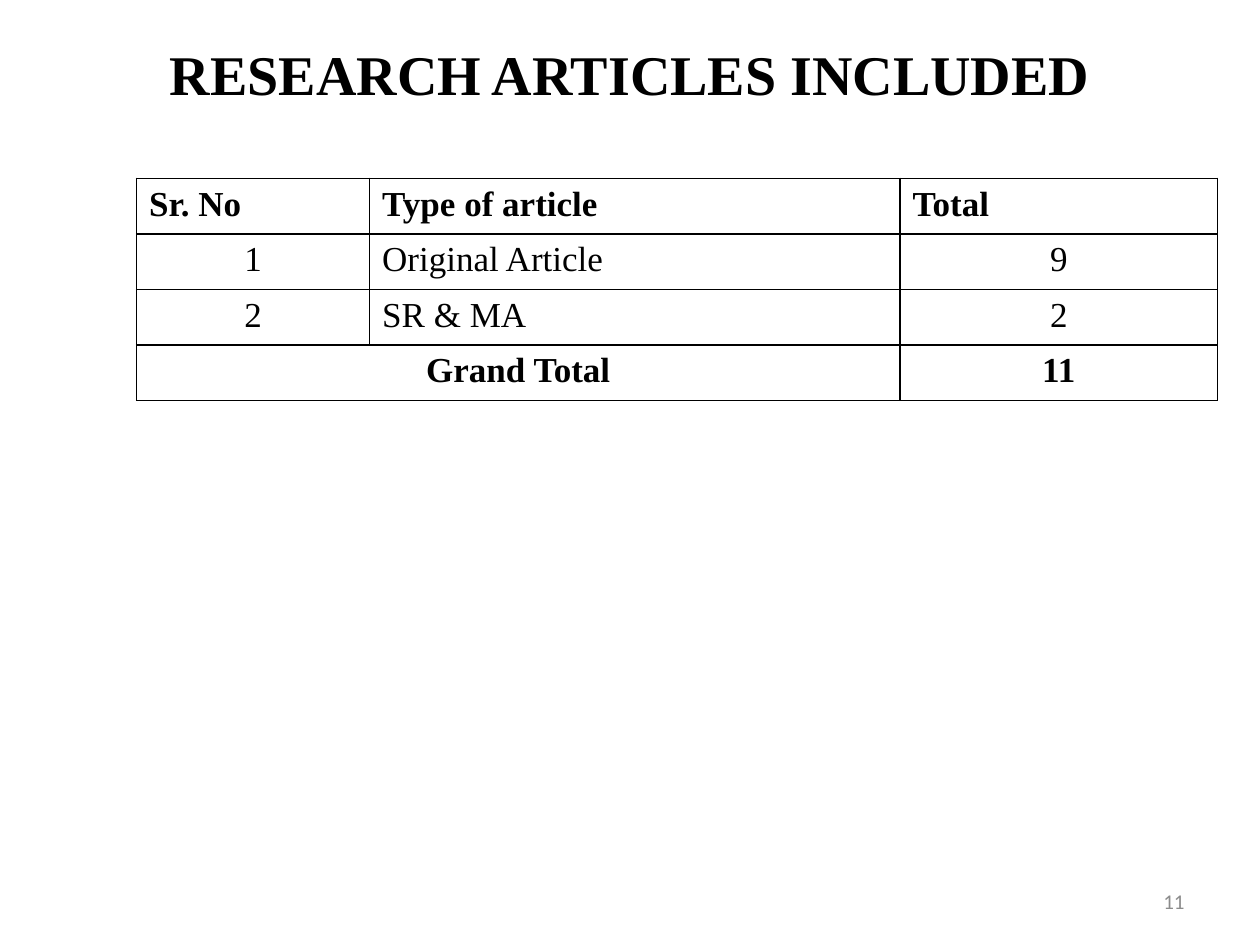
from lxml.etree import SubElement
from pptx import Presentation
from pptx.dml.color import RGBColor
from pptx.enum.text import MSO_ANCHOR as Anchor, PP_ALIGN as Align
from pptx.oxml.ns import qn
from pptx.util import Pt

TITLE = "RESEARCH ARTICLES INCLUDED"
PAGE_NUMBER = "11"
ROWS = [
    ("Sr. No", "Type of article", "Total "),
    ("1", "Original Article", "9"),
    ("2", "SR & MA", "2"),
    ("Grand Total", "", "11"),
]
COLUMN_WIDTHS = (133.2, 303.1, 181.5)
ROW_HEIGHT = 31.7
TABLE_LEFT, TABLE_TOP = 78, 102
BODY_ALIGN = (Align.CENTER, Align.LEFT, Align.CENTER)
SERIF, SANS = "Times New Roman", "Calibri"
BLACK, GRAY, WHITE = "000000", "8C8C8C", "FFFFFF"


def color(value):
    return RGBColor.from_string(value)


def write(frame, text, size, align, font=SERIF, ink=BLACK, bold=False):
    para = frame.paragraphs[0]
    para.alignment = align
    span = para.add_run()
    span.text = text
    span.font.size = Pt(size)
    span.font.name = font
    span.font.bold = bold
    span.font.color.rgb = color(ink)


def add_text(page, area, *args, **style):
    box = page.shapes.add_textbox(*map(Pt, area))
    box.text_frame.word_wrap = True
    box.text_frame.vertical_anchor = Anchor.MIDDLE
    write(box.text_frame, *args, **style)


def style_cell(cell):
    """Give the cell a white fill and thin black borders."""
    properties = cell._tc.get_or_add_tcPr()
    for side in ("lnL", "lnR", "lnT", "lnB"):
        line = SubElement(properties, qn("a:" + side), w=str(Pt(1)))
        fill = SubElement(line, qn("a:solidFill"))
        SubElement(fill, qn("a:srgbClr"), val=BLACK)
    cell.fill.solid()
    cell.fill.fore_color.rgb = color(WHITE)


def add_article_table(page):
    last = len(ROWS) - 1
    table = page.shapes.add_table(
        len(ROWS), len(COLUMN_WIDTHS), Pt(TABLE_LEFT), Pt(TABLE_TOP),
        Pt(sum(COLUMN_WIDTHS)), Pt(ROW_HEIGHT * len(ROWS))).table
    for column, width in zip(table.columns, COLUMN_WIDTHS):
        column.width = Pt(width)
    for row in table.rows:
        row.height = Pt(ROW_HEIGHT)
    table.cell(last, 0).merge(table.cell(last, 1))
    for r, row in enumerate(ROWS):
        for c, text in enumerate(row):
            cell = table.cell(r, c)
            style_cell(cell)
            if text:
                align = Align.JUSTIFY if r == 0 else BODY_ALIGN[c]
                write(cell.text_frame, text, 20, align, bold=r in (0, last))


deck = Presentation()
deck.slide_width, deck.slide_height = Pt(720), Pt(540)
page = deck.slides.add_slide(deck.slide_layouts[5])
title = page.shapes.title
title.left, title.top, title.width, title.height = map(Pt, (36, 18, 648, 48))
title.text_frame.vertical_anchor = Anchor.MIDDLE
write(title.text_frame, TITLE, 32, Align.CENTER, bold=True)
add_text(page, (516, 500.5, 168, 28.75), PAGE_NUMBER, 12, Align.RIGHT,
         font=SANS, ink=GRAY)
add_article_table(page)
deck.save("out.pptx")
